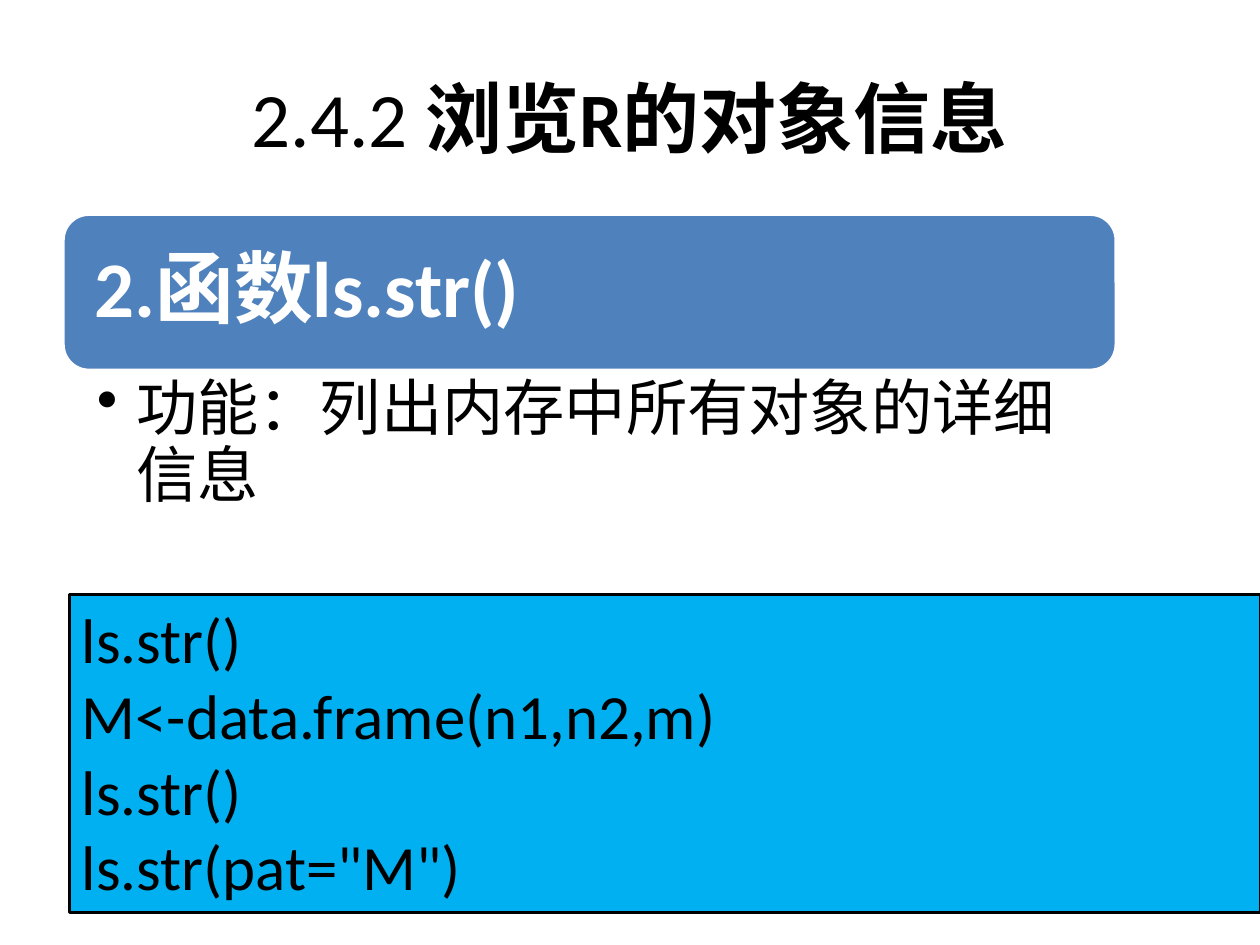
from dataclasses import dataclass
from typing import Optional

from lxml import etree
from pptx import Presentation
from pptx.dml.color import RGBColor
from pptx.enum.lang import MSO_LANGUAGE_ID
from pptx.enum.shapes import MSO_SHAPE
from pptx.enum.text import MSO_ANCHOR, PP_ALIGN
from pptx.oxml.ns import qn
from pptx.util import Inches, Pt

COLORS = {"black": "000000", "white": "FFFFFF", "banner": "4F81BD", "code": "00B0F0"}
FONT = "Calibri"
GRID = 0.1  # inches per column and per row: 100 columns by 75 rows


@dataclass(frozen=True)
class Run:
    text: str
    bold: bool = False


@dataclass(frozen=True)
class Block:
    col: float
    row: float
    cols: float
    rows: float
    paragraphs: tuple[tuple[Run, ...], ...] = ()
    size: float = 18
    color: str = "black"
    shape: Optional[MSO_SHAPE] = None
    fill: str = "white"
    line: str = "black"
    line_width: float = 1
    anchor: MSO_ANCHOR = MSO_ANCHOR.TOP
    align: PP_ALIGN = PP_ALIGN.LEFT
    insets: tuple[float, float, float, float] = (1, 0.5, 1, 0.5)
    line_spacing: float = 1.0
    bullet_indent: float = 0


def grid(units: float) -> int:
    return Inches(units * GRID)


def rgb(name: str) -> RGBColor:
    return RGBColor.from_string(COLORS[name])


def add_bullet(paragraph, indent: float) -> None:
    props = paragraph._p.get_or_add_pPr()
    props.set("marL", str(grid(indent)))
    props.set("indent", str(-grid(indent)))
    etree.SubElement(props, qn("a:buChar")).set("char", "•")


def write_text(frame, block: Block) -> None:
    frame.word_wrap = True
    frame.vertical_anchor = block.anchor
    (frame.margin_left, frame.margin_top,
     frame.margin_right, frame.margin_bottom) = map(grid, block.insets)
    for index, runs in enumerate(block.paragraphs):
        paragraph = frame.add_paragraph() if index else frame.paragraphs[0]
        paragraph.alignment = block.align
        paragraph.line_spacing = block.line_spacing
        if block.bullet_indent:
            add_bullet(paragraph, block.bullet_indent)
        for part in runs:
            run = paragraph.add_run()
            run.text = part.text
            font = run.font
            font.name, font.size, font.bold = FONT, Pt(block.size), part.bold
            font.color.rgb = rgb(block.color)
            font.language_id = MSO_LANGUAGE_ID.SIMPLIFIED_CHINESE


def draw(slide, block: Block) -> None:
    box = tuple(map(grid, (block.col, block.row, block.cols, block.rows)))
    if block.shape is None:
        item = slide.shapes.add_textbox(*box)
    else:
        item = slide.shapes.add_shape(block.shape, *box)
        item.shadow.inherit = False
        item.fill.solid()
        item.fill.fore_color.rgb = rgb(block.fill)
        item.line.color.rgb = rgb(block.line)
        item.line.width = Pt(block.line_width)
    if block.paragraphs:
        write_text(item.text_frame, block)


CODE = ("ls.str()", "M<-data.frame(n1,n2,m)", "ls.str()", 'ls.str(pat="M")')

BLOCKS = (
    # Title
    Block(5, 3, 90, 12.5, ((Run("2.4.2 "), Run("浏览R的对象信息", True)),), 44,
          anchor=MSO_ANCHOR.MIDDLE, align=PP_ALIGN.CENTER),
    # Section banner and its heading
    Block(5, 17, 83.6, 12.4, shape=MSO_SHAPE.ROUNDED_RECTANGLE,
          fill="banner", line="white", line_width=2),
    Block(5.6, 17.6, 82.4, 11.2, ((Run("2.函数ls.str()", True),),), 45, "white",
          anchor=MSO_ANCHOR.MIDDLE, insets=(1.9,) * 4, line_spacing=0.9),
    # Purpose of the function
    Block(5, 29.4, 83.6, 12.7, ((Run("功能：列出内存中所有对象的详细信息"),),), 35,
          insets=(2.7, 0.6, 3.5, 0.6), line_spacing=0.9, bullet_indent=3.1),
    # Code sample
    Block(5.5, 47.2, 94.5, 25.2, tuple((Run(text),) for text in CODE), 36,
          shape=MSO_SHAPE.RECTANGLE, fill="code", line_width=1.5),
)


def main() -> None:
    deck = Presentation()
    deck.slide_width, deck.slide_height = grid(100), grid(75)
    slide = deck.slides.add_slide(deck.slide_layouts[6])
    for block in BLOCKS:
        draw(slide, block)
    deck.save("out.pptx")


main()
